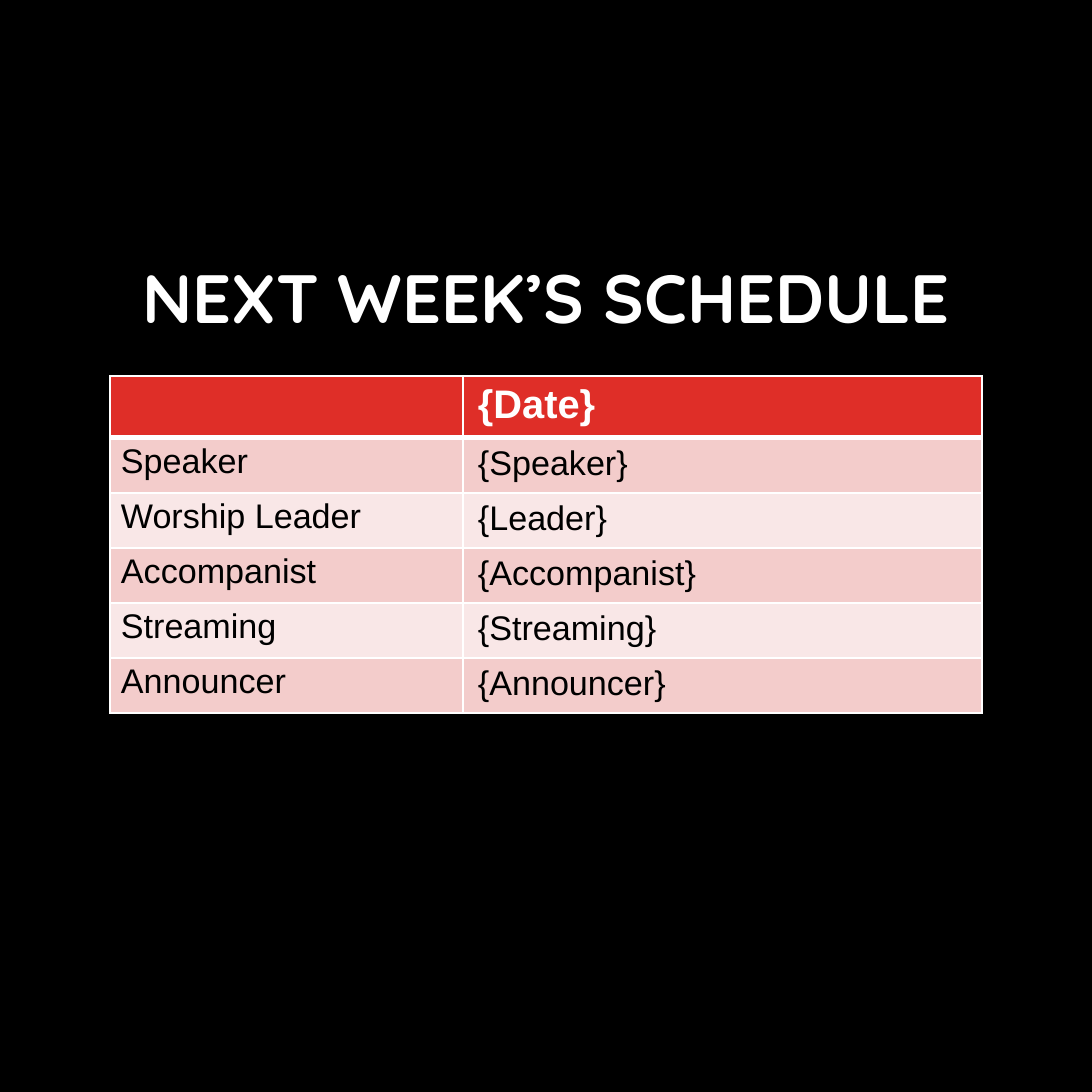
from lxml import etree
from pptx import Presentation
from pptx import util as u
from pptx.dml.color import RGBColor
from pptx.enum import text
from pptx.oxml import ns

PX = 8 * 914400 / 1092  # EMU per px

THEME = {
    "black": "000000", "white": "FFFFFF", "red": "DF2E28",
    "bands": ("F3CCCB", "F9E7E7"),
    "title_font": "Quicksand", "body_font": "Arial",
    "title_size": 36, "header_size": 21, "body_size": 18,
}


def px(n):
    return u.Emu(round(n * PX))


def write(tf, content, font=THEME["body_font"], size=THEME["body_size"],
          color=THEME["black"], bold=False, align=None, spacing=None):
    p = tf.paragraphs[0]
    p.alignment, p.line_spacing = align, spacing
    r = p.add_run()
    r.text = content
    r.font.name, r.font.size, r.font.bold = font, u.Pt(size), bold
    r.font.color.rgb = RGBColor.from_string(color)


prs = Presentation()
prs.slide_width = prs.slide_height = px(1092)
s = prs.slides.add_slide(prs.slide_layouts[6])

# Background
s.background.fill.solid()
s.background.fill.fore_color.rgb = RGBColor.from_string(THEME["black"])

# Title
tf = s.shapes.add_textbox(px(86), px(177), px(920), px(168)).text_frame
tf.word_wrap = True
tf.vertical_anchor = text.MSO_ANCHOR.BOTTOM
write(tf, "NEXT WEEK’S SCHEDULE", font=THEME["title_font"],
      size=THEME["title_size"], color=THEME["white"], bold=True,
      align=text.PP_ALIGN.CENTER, spacing=0.9)

# Schedule table
schedule = [
    ("", "{Date}"),
    ("Speaker", "{Speaker}"),
    ("Worship Leader", "{Leader}"),
    ("Accompanist", "{Accompanist}"),
    ("Streaming", "{Streaming}"),
    ("Announcer", "{Announcer}"),
]
widths = (353, 519)
heights = [59] + [53] * (len(schedule) - 1)
table = s.shapes.add_table(len(schedule), len(widths), px(110), px(376),
                           px(sum(widths)), px(sum(heights))).table
for column, width in zip(table.columns, widths):
    column.width = px(width)

for i, (row, height) in enumerate(zip(schedule, heights)):
    table.rows[i].height = px(height)
    header = i == 0
    for j, content in enumerate(row):
        cell = table.cell(i, j)

        # Label cells have tighter margins, except in the header
        side, edge = (11, 5) if j == 0 and not header else (15, 7)
        cell.margin_left = cell.margin_right = px(side)
        cell.margin_top = cell.margin_bottom = px(edge)
        cell.fill.solid()
        cell.fill.fore_color.rgb = RGBColor.from_string(
            THEME["red"] if header else THEME["bands"][(i - 1) % 2])

        if content and header:
            write(cell.text_frame, content, size=THEME["header_size"],
                  color=THEME["white"], bold=True)
        elif content:
            write(cell.text_frame, content)

        # White borders, heavier under the header
        tcPr = cell._tc.get_or_add_tcPr()
        for k, name in enumerate(("lnL", "lnR", "lnT", "lnB")):
            heavy = (i, name) in ((0, "lnB"), (1, "lnT"))
            ln = etree.Element(ns.qn("a:" + name), w=str(u.Pt(3 if heavy else 1)))
            fill = etree.SubElement(ln, ns.qn("a:solidFill"))
            etree.SubElement(fill, ns.qn("a:srgbClr"), val=THEME["white"])
            tcPr.insert(k, ln)

prs.save("out.pptx")
